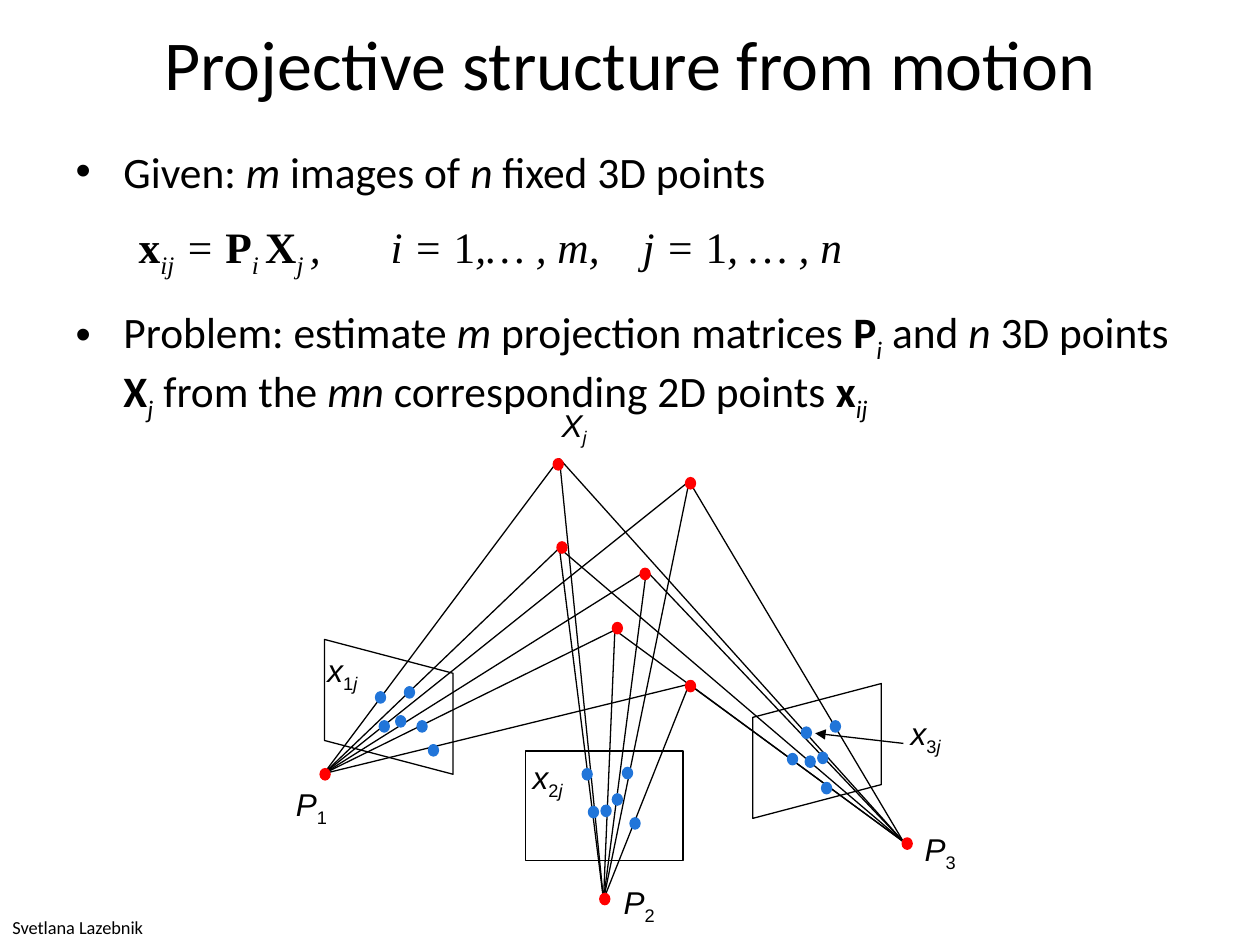
import itertools

import lxml.etree
import pptx
import pptx.dml.color
import pptx.enum.shapes
import pptx.enum.text
import pptx.oxml.ns
import pptx.util

Inches = pptx.util.Inches
Shape = pptx.enum.shapes.MSO_SHAPE
BLACK, RED, BLUE = "000000", "FF0000", "2175D9"

# Run styles: b = bold, i = italic, s = subscript
GIVEN = [("Given: ", ""), ("m", "i"), (" images of ", ""), ("n", "i"),
         (" fixed 3D points", "")]
RULE = [("\t", ""), ("x", "b"), ("ij", "is"), (" = ", "i"), ("P", "b"),
        ("i ", "is"), ("X", "b"), ("j ", "is"), (", \ti = ", "i"), ("1", ""),
        (",… , m,\tj = ", "i"), ("1", ""), (", … , n", "i")]
TASK = [("Problem: estimate ", ""), ("m", "i"), (" projection matrices ", ""),
        ("P", "b"), ("i", "is"), (" and ", ""), ("n", "i"), (" 3D points ", ""),
        ("X", "b"), ("j", "is"), (" from the ", ""), ("mn", "i"),
        (" corresponding 2D points ", ""), ("x", "b"), ("ij", "is")]

# Diagram places are inches from the top left corner of its box
CAMERAS = [(0.32, 2.97), (2.54, 3.97), (4.92, 3.51)]
POINTS = [(2.19, 0.47), (3.22, 0.65), (2.19, 1.18), (2.88, 1.36),
          (2.63, 1.83), (3.22, 2.26)]
DOTS = {
    RED: [(0.29, 2.93), (2.51, 3.92), (4.91, 3.48),
          (2.14, 0.47), (3.19, 0.62), (2.17, 1.13),
          (2.83, 1.34), (3.19, 2.23), (2.61, 1.77)],
    BLUE: [(0.73, 2.32), (0.96, 2.28), (0.89, 2.51),
           (1.06, 2.55), (1.15, 2.74), (0.76, 2.55),
           (2.37, 2.93), (2.52, 3.22), (2.69, 2.92),
           (2.61, 3.13), (2.75, 3.32), (2.42, 3.23),
           (4.11, 2.6), (4.34, 2.55), (4.24, 2.8),
           (4.14, 2.83), (4.27, 3.04), (4.0, 2.81)],
}
MARKS = [(0.25, 1.95), (1.88, 2.8), (4.88, 2.45)]
NAMES = [(0, 3.01), (2.6, 3.79), (4.99, 3.37)]


def paint(part, color):
    part.rgb = pptx.dml.color.RGBColor.from_string(color)


def add_xml(parent, tag, **values):
    return lxml.etree.SubElement(parent, pptx.oxml.ns.qn(tag), values)


def write(para, runs, size, face):
    for text, style in runs:
        run = para.add_run()
        run.text = text
        look = {"name": face, "size": pptx.util.Pt(size),
                "bold": "b" in style, "italic": "i" in style}
        for key, value in look.items():
            setattr(run.font, key, value)
        paint(run.font.color, BLACK)
        if "s" in style:
            run._r.get_or_add_rPr().set("baseline", "-25000")


def move(shape, box):
    for key, value in zip(("left", "top", "width", "height"), box):
        setattr(shape, key, Inches(value))


def add_title(slide, box):
    title = slide.shapes.title
    move(title, box)
    title.text_frame.vertical_anchor = pptx.enum.text.MSO_ANCHOR.MIDDLE
    para = title.text_frame.paragraphs[0]
    para.alignment = pptx.enum.text.PP_ALIGN.CENTER
    write(para, [("Projective structure from motion", "")], 40, "Calibri")


def add_body(slide, box):
    body = slide.placeholders[1]
    move(body, box)
    frame = body.text_frame
    frame.auto_size = pptx.enum.text.MSO_AUTO_SIZE.NONE
    rows = [(GIVEN, "Calibri", 0), (RULE, "Times New Roman", 13),
            (TASK, "Calibri", 15)]
    for num, (runs, face, gap) in enumerate(rows):
        para = frame.add_paragraph() if num else frame.paragraphs[0]
        props = para._p.get_or_add_pPr()
        if runs is RULE:
            props.set("marL", "0")
            props.set("indent", "0")
            add_xml(props, "a:buNone")
            tabs = add_xml(props, "a:tabLst")
            for stop in (1.53, 3.54, 5.53):
                add_xml(tabs, "a:tab", pos=str(Inches(stop)), algn="l")
        else:
            props.set("marL", str(Inches(0.38)))
            props.set("indent", str(Inches(-0.38)))
            add_xml(props, "a:buChar", char="•")
        para.space_before = pptx.util.Pt(gap)
        write(para, runs, 24.8, face)


def add_label(slide, box, runs, size=18, face="Arial"):
    label = slide.shapes.add_textbox(*map(Inches, box))
    label.text_frame.word_wrap = False
    write(label.text_frame.paragraphs[0], runs, size, face)


def add_line(slide, start, end):
    line = slide.shapes.add_connector(
        pptx.enum.shapes.MSO_CONNECTOR.STRAIGHT, *map(Inches, start + end))
    paint(line.line.color, BLACK)
    line.line.width = pptx.util.Pt(0.75)
    add_xml(line._element.spPr, "a:effectLst")
    return line


def add_shape(slide, kind, box, color, filled=False):
    shape = slide.shapes.add_shape(kind, *map(Inches, box))
    shape.shadow.inherit = False
    if filled:
        shape.fill.solid()
        paint(shape.fill.fore_color, color)
    else:
        shape.fill.background()
    paint(shape.line.color, color)
    shape.line.width = pptx.util.Pt(0.75)
    return shape


def add_planes(slide, place):
    add_shape(slide, Shape.RECTANGLE, place(1.92, 2.79) + (1.25, 0.87), BLACK)
    for spot, turn in (((0.3, 1.93), 270), ((3.7, 2.28), 90)):
        plane = add_shape(slide, Shape.PARALLELOGRAM,
                          place(*spot) + (1.07, 1.02), BLACK)
        plane.adjustments[0] = 0.263
        plane.rotation = turn
        if turn == 90:
            plane._element.spPr.xfrm.set("flipH", "1")


def add_views(slide, left, top):
    """Draw three cameras that see the same six points."""
    def place(x, y):
        return left + x, top + y

    for eye, point in itertools.product(CAMERAS, POINTS):
        add_line(slide, place(*eye), place(*point))
    add_planes(slide, place)
    for color, spots in DOTS.items():
        for spot in spots:
            add_shape(slide, Shape.OVAL, place(*spot) + (0.08, 0.09),
                      color, True)
    add_label(slide, place(2.11, 0) + (0.47, 0.5), [("X", "i"), ("j", "is")])
    for num, (mark, name) in enumerate(zip(MARKS, NAMES), 1):
        digit = (str(num), "s")
        add_label(slide, place(*mark) + (0.54, 0.5),
                  [("x", "i"), digit, ("j", "is")])
        add_label(slide, place(*name) + (0.55, 0.5), [("P", "i"), digit])
    arrow = add_line(slide, place(4.92, 2.73), place(4.22, 2.65))
    add_xml(arrow.line._get_or_add_ln(), "a:tailEnd", type="triangle")


def main():
    deck = pptx.Presentation()
    deck.slide_width, deck.slide_height = Inches(10), Inches(7.5)
    slide = deck.slides.add_slide(deck.slide_layouts[1])
    add_title(slide, (0.5, 0, 9, 1))
    add_body(slide, (0.5, 1.1, 9, 1.92))
    add_views(slide, 2.25, 3.17)
    add_label(slide, (0, 7.22, 1.26, 0.28), [("Svetlana Lazebnik", "")],
              10.5, "Calibri")
    deck.save("out.pptx")


if __name__ == "__main__":
    main()
